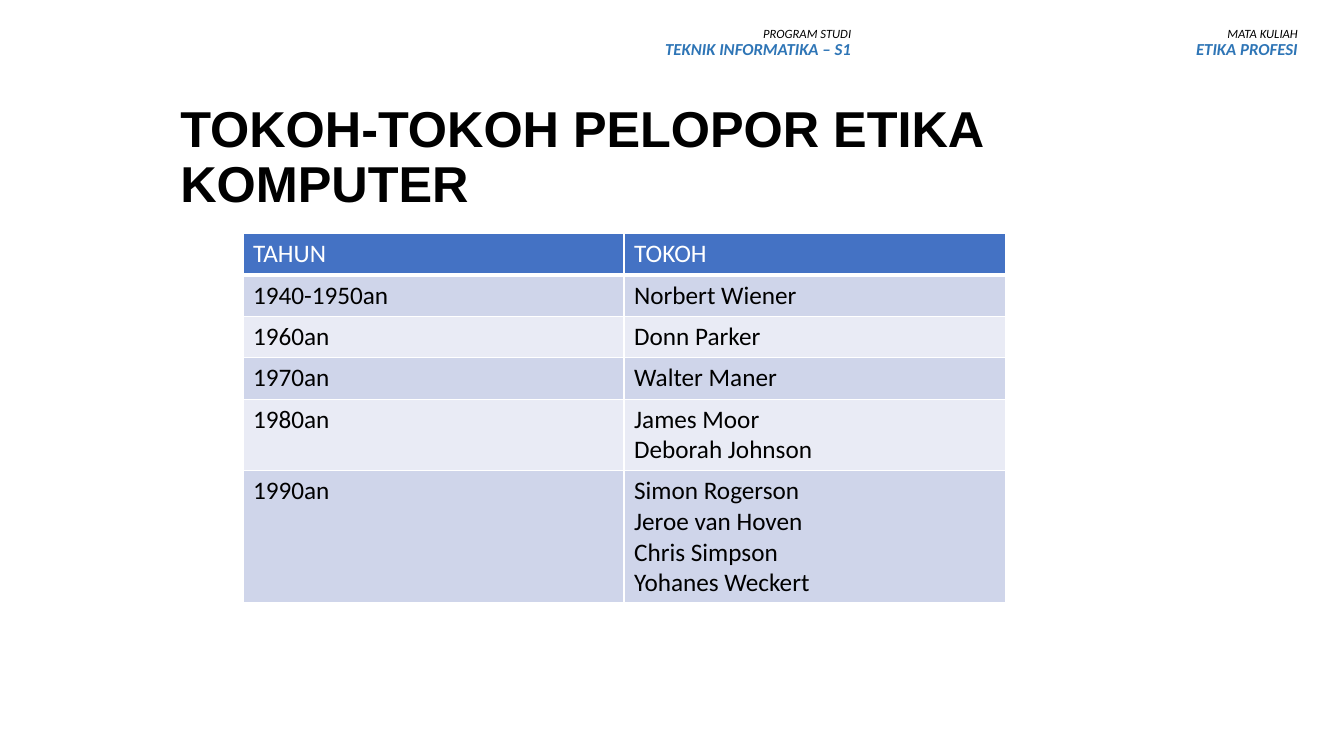
from typing import NamedTuple

from lxml import etree
from pptx import Presentation
from pptx.dml.color import RGBColor
from pptx.enum.text import MSO_ANCHOR, PP_ALIGN
from pptx.oxml.ns import qn
from pptx.util import Inches, Pt

RIGHT, MIDDLE = PP_ALIGN.RIGHT, MSO_ANCHOR.MIDDLE
COLORS = {
    "black": "000000",
    "white": "FFFFFF",
    "accent": "2E75B6",
    "header": "4472C4",
    "odd": "CFD5EA",
    "even": "E9EBF5",
}


class Label(NamedTuple):
    left: float
    caption: str
    value: str


class Era(NamedTuple):
    year: str
    figures: list[str]


LABELS = [
    Label(10.46, "MATA KULIAH", "ETIKA PROFESI"),
    Label(6.03, "PROGRAM STUDI", "TEKNIK INFORMATIKA – S1"),
]
ERAS = [
    Era("TAHUN", ["TOKOH"]),
    Era("1940-1950an", ["Norbert Wiener"]),
    Era("1960an", ["Donn Parker"]),
    Era("1970an", ["Walter Maner"]),
    Era("1980an", ["James Moor", "Deborah Johnson"]),
    Era("1990an", ["Simon Rogerson", "Jeroe van Hoven", "Chris Simpson", "Yohanes Weckert"]),
]
COLUMN_WIDTH = 3.78
ROW_HEIGHT, EXTRA_LINE = 0.41, 0.3


def style(paragraph, size: float, color: str, font: str = "Calibri",
          bold: bool = False, italic: bool = False) -> None:
    for run in paragraph.runs:
        run.font.name = font
        run.font.size = Pt(size)
        run.font.bold = bold
        run.font.italic = italic
        run.font.color.rgb = RGBColor.from_string(COLORS[color])


def add_text(slide, left: float, top: float, width: float, height: float, text: str):
    box = slide.shapes.add_textbox(Inches(left), Inches(top), Inches(width), Inches(height))
    frame = box.text_frame
    frame.word_wrap = True
    frame.text = text
    for paragraph in frame.paragraphs:
        paragraph.line_spacing = 0.9
    return frame


def add_label(slide, label: Label) -> None:
    frame = add_text(slide, label.left, 0.22, 2.51, 0.56, f"{label.caption}\n{label.value}")
    caption, value = frame.paragraphs
    caption.alignment = value.alignment = RIGHT
    style(caption, 9, "black", italic=True)
    style(value, 12, "accent", bold=True, italic=True)


def set_borders(cell, top: float, bottom: float) -> None:
    properties = cell._tc.get_or_add_tcPr()
    widths = {"a:lnL": 1, "a:lnR": 1, "a:lnT": top, "a:lnB": bottom}
    for index, (side, width) in enumerate(widths.items()):
        line = etree.Element(qn(side), w=str(Pt(width)))
        fill = etree.SubElement(line, qn("a:solidFill"))
        etree.SubElement(fill, qn("a:srgbClr"), val=COLORS["white"])
        properties.insert(index, line)


def add_eras(slide, eras: list[Era]) -> None:
    heights = [ROW_HEIGHT + EXTRA_LINE * (len(era.figures) - 1) for era in eras]
    table = slide.shapes.add_table(
        len(eras), 2, Inches(2.41), Inches(2.32), Inches(2 * COLUMN_WIDTH), Inches(sum(heights))
    ).table
    for column in table.columns:
        column.width = Inches(COLUMN_WIDTH)
    for index, (era, height) in enumerate(zip(eras, heights)):
        table.rows[index].height = Inches(height)
        if index == 0:
            fill, ink = "header", "white"
        else:
            fill, ink = ("odd" if index % 2 else "even"), "black"
        for column, text in enumerate([era.year, "\n".join(era.figures)]):
            cell = table.cell(index, column)
            cell.text_frame.text = text
            cell.fill.solid()
            cell.fill.fore_color.rgb = RGBColor.from_string(COLORS[fill])
            set_borders(cell, top=3 if index == 1 else 1, bottom=3 if index == 0 else 1)
            for paragraph in cell.text_frame.paragraphs:
                style(paragraph, 18, ink)


def main() -> None:
    deck = Presentation()
    deck.slide_width, deck.slide_height = Inches(13.33), Inches(7.5)
    slide = deck.slides.add_slide(deck.slide_layouts[6])

    # Course labels at the top
    for label in LABELS:
        add_label(slide, label)

    # Title
    title = add_text(slide, 1.69, 1.13, 10.66, 0.89, "TOKOH-TOKOH PELOPOR ETIKA KOMPUTER")
    title.vertical_anchor = MIDDLE
    style(title.paragraphs[0], 36, "black", font="Arial", bold=True)

    # Pioneers by decade
    add_eras(slide, ERAS)

    deck.save("out.pptx")


if __name__ == "__main__":
    main()
